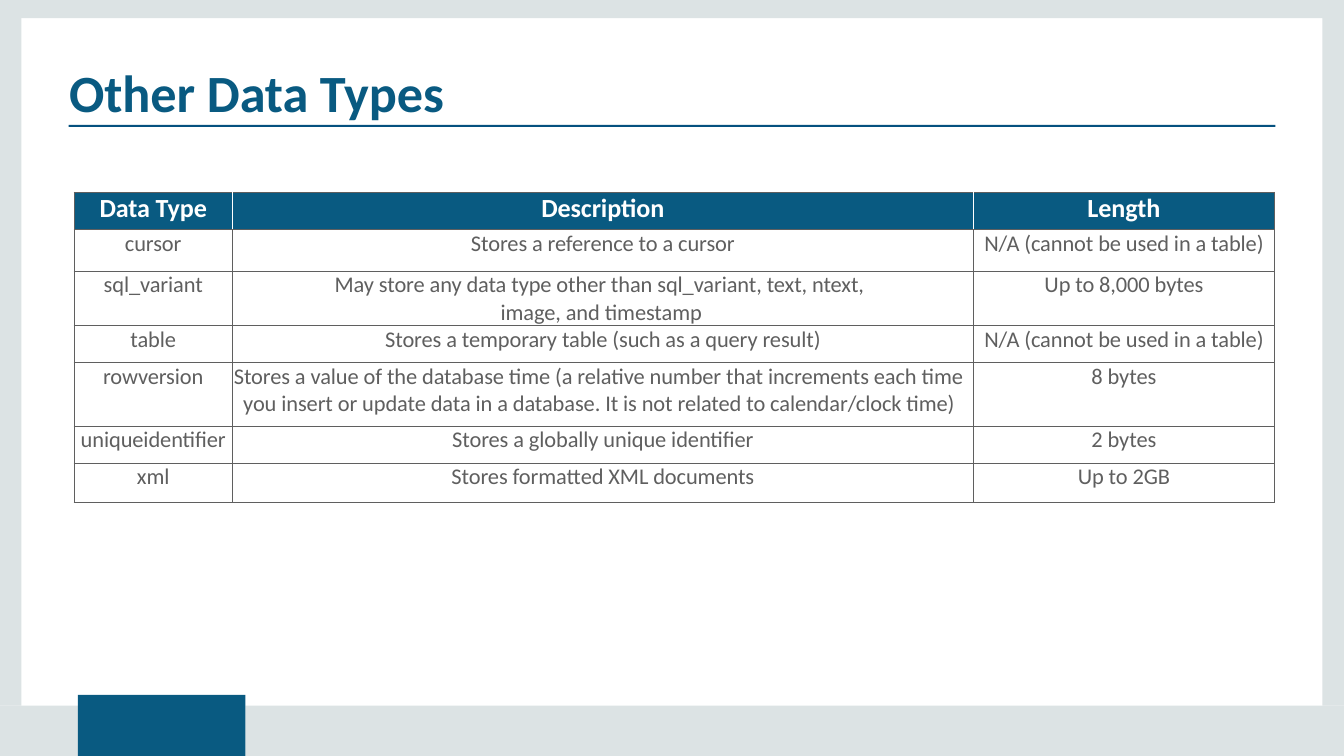
from lxml import etree
from pptx import Presentation
from pptx.dml.color import RGBColor
from pptx.enum.shapes import MSO_SHAPE
from pptx.enum.text import PP_ALIGN
from pptx.oxml.ns import qn
from pptx.util import Pt

RECTANGLE = MSO_SHAPE.RECTANGLE
LEFT, CENTER = PP_ALIGN.LEFT, PP_ALIGN.CENTER
PX = 9144  # 100 px to the inch
BLUE, RULE_BLUE, MIST, GREY, WHITE = "095A81", "05517F", "DCE3E4", "5F5F5F", "FFFFFF"
TITLE = {"size": Pt(56), "bold": True}
HEADER = {"size": Pt(28), "bold": True}
BODY = {"size": Pt(24), "bold": False}


def color(value):
    return RGBColor.from_string(value)


def write(paragraph, text, style, ink, align):
    paragraph.alignment = align
    run = paragraph.add_run()
    run.text = text
    run.font.name = "Calibri"
    run.font.color.rgb = color(ink)
    for name, value in style.items():
        setattr(run.font, name, value)
    # Slightly tightened letter spacing
    run.font._element.set("spc", "-10")


deck = Presentation()
deck.slide_width, deck.slide_height = 2000 * PX, 1125 * PX
slide = deck.slides.add_slide(deck.slide_layouts[6])

# Frame, footer block and title rule
bands = [
    (1968, 27, 32, 1023, MIST),
    (0, 27, 32, 1023, MIST),
    (365, 1050, 1635, 75, MIST),
    (0, 1050, 116, 75, MIST),
    (0, 0, 2000, 27, MIST),
    (116, 1034, 249, 91, BLUE),
    (102, 186, 1796, 3, RULE_BLUE),
]
for left, top, width, height, fill in bands:
    band = slide.shapes.add_shape(RECTANGLE, left * PX, top * PX, width * PX, height * PX)
    band.shadow.inherit = False
    band.fill.solid()
    band.fill.fore_color.rgb = color(fill)
    band.line.fill.background()

# Title
title = slide.shapes.add_textbox(103 * PX, 90 * PX, 1795 * PX, 81 * PX).text_frame
title.word_wrap = True
title.margin_left = title.margin_top = title.margin_right = title.margin_bottom = 0
write(title.paragraphs[0], "Other Data Types", TITLE, BLUE, LEFT)

# Table of data types
rows = [
    ("Data Type", "Description", "Length"),
    ("cursor", "Stores a reference to a cursor", "N/A (cannot be used in a table)"),
    ("sql_variant",
     "May store any data type other than sql_variant, text, ntext, image, and timestamp",
     "Up to 8,000 bytes"),
    ("table", "Stores a temporary table (such as a query result)",
     "N/A (cannot be used in a table)"),
    ("rowversion",
     "Stores a value of the database time (a relative number that increments each time "
     "you insert or update data in a database. It is not related to calendar/clock time)",
     "8 bytes"),
    ("uniqueidentifier", "Stores a globally unique identifier", "2 bytes"),
    ("xml", "Stores formatted XML documents", "Up to 2GB"),
]
column_widths = [236, 1102, 449]
row_heights = [56, 62, 81, 55, 94, 55, 58]
# Left margin and first-line indent of the two descriptions that wrap
hanging = {"sql_variant": (399, -247), "rowversion": (16, -14)}

types = slide.shapes.add_table(
    len(rows), len(column_widths), 110 * PX, 286 * PX,
    sum(column_widths) * PX, sum(row_heights) * PX).table
types.horz_banding = False
for column, width in zip(types.columns, column_widths):
    column.width = width * PX
for row, height in zip(types.rows, row_heights):
    row.height = height * PX

for r, texts in enumerate(rows):
    is_header = r == 0
    for c, text in enumerate(texts):
        cell = types.cell(r, c)
        cell.margin_left = cell.margin_top = cell.margin_right = cell.margin_bottom = 0

        # Borders: grey, with white dividers inside the header
        properties = cell._tc.get_or_add_tcPr()
        for side in "LRTB":
            inner = (side == "L" and c > 0) or (side == "R" and c < len(texts) - 1)
            border = etree.SubElement(properties, qn(f"a:ln{side}"), w=str(Pt(1)))
            solid = etree.SubElement(border, qn("a:solidFill"))
            etree.SubElement(solid, qn("a:srgbClr"), val=WHITE if is_header and inner else GREY)

        if is_header:
            cell.fill.solid()
            cell.fill.fore_color.rgb = color(BLUE)
        else:
            cell.fill.background()

        wraps = c == 1 and texts[0] in hanging
        paragraph = cell.text_frame.paragraphs[0]
        write(paragraph, text, HEADER if is_header else BODY,
              WHITE if is_header else GREY, LEFT if wraps else CENTER)
        if wraps:
            margin, indent = hanging[texts[0]]
            paragraph_format = paragraph._p.get_or_add_pPr()
            paragraph_format.set("marL", str(margin * PX))
            paragraph_format.set("indent", str(indent * PX))
            # Same inset on the right as the first line has on the left
            cell.margin_right = (margin + indent) * PX

deck.save("out.pptx")
